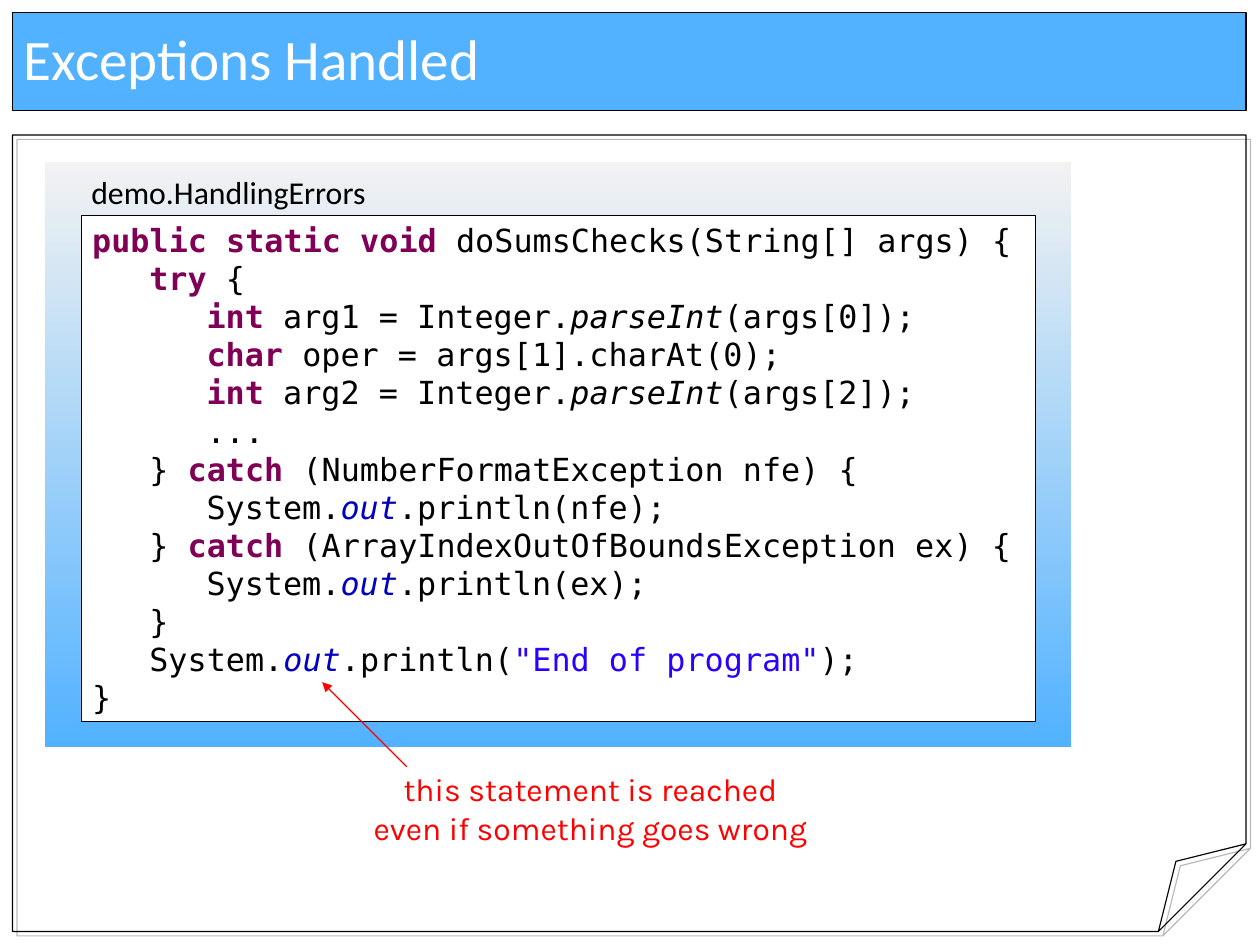
"""Build the "Exceptions Handled" slide with its annotated code listing."""
from dataclasses import dataclass
from typing import NamedTuple, Optional

from lxml import etree
from pptx import Presentation
from pptx.dml.color import RGBColor
from pptx.enum.shapes import MSO_CONNECTOR, MSO_SHAPE
from pptx.enum.text import MSO_ANCHOR, PP_ALIGN
from pptx.oxml.ns import qn
from pptx.util import Cm, Pt

RECT = MSO_SHAPE.RECTANGLE
ROUND_RECT = MSO_SHAPE.ROUNDED_RECTANGLE
FOLDED = MSO_SHAPE.FOLDED_CORNER
STRAIGHT = MSO_CONNECTOR.STRAIGHT
LEFT, CENTER = PP_ALIGN.LEFT, PP_ALIGN.CENTER
TOP, MIDDLE = MSO_ANCHOR.TOP, MSO_ANCHOR.MIDDLE


@dataclass(frozen=True)
class Theme:
    black: str = "000000"
    white: str = "FFFFFF"
    blue: str = "52B2FF"
    pale: str = "F2F2F2"
    shadow: str = "808080"
    red: str = "FF0000"
    keyword: str = "7F0055"
    field: str = "0000C0"
    string: str = "2A00FF"
    body_font: str = "Calibri"
    code_font: str = "DejaVu Sans Mono"
    note_font: str = "Karla"
    title_size: float = 36
    text_size: float = 20
    line: float = 0.75
    hairline: float = 0.28


T = Theme()


class Span(NamedTuple):
    text: str
    color: str = T.black
    bold: bool = False
    italic: bool = False


class Line(NamedTuple):
    level: int
    spans: list[Span]


@dataclass(frozen=True)
class Style:
    font: str
    size: float = T.text_size
    align: PP_ALIGN = LEFT
    anchor: MSO_ANCHOR = TOP
    wrap: bool = True
    spacing: Optional[float] = None


Box = tuple[float, float, float, float]
INDENT = 1.27
TITLE: Box = (0.28, 0.28, 27.41, 2.18)
PAGE: Box = (0.28, 3, 27.41, 17.7)
PANEL: Box = (0.99, 3.61, 22.81, 13)
CODE: Box = (1.8, 4.78, 21.21, 11.25)
NOTE: Box = (7.59, 16.99, 11.07, 1.96)
LABEL: Box = (1.78, 3.71, 6.63, 1.12)
ARROW: Box = (9.04, 17.04, 7.16, 15.16)


def keyword(text: str) -> Span:
    return Span(text, T.keyword, bold=True)


def parse_arg(kind: str, name: str, index: int) -> Line:
    return Line(2, [keyword(kind), Span(f" {name} = Integer."),
                    Span("parseInt", italic=True), Span(f"(args[{index}]);")])


def print_line(level: int, argument: Span) -> Line:
    return Line(level, [Span("System."), Span("out", T.field, italic=True),
                        Span(".println("), argument, Span(");")])


def catch(exception: str) -> Line:
    return Line(1, [Span("} "), keyword("catch"), Span(f" ({exception}) {{")])


LISTING = [
    Line(0, [keyword("public static void"), Span(" doSumsChecks(String[] args) {")]),
    Line(1, [keyword("try"), Span(" {")]),
    parse_arg("int", "arg1", 0),
    Line(2, [keyword("char"), Span(" oper = args[1].charAt(0);")]),
    parse_arg("int", "arg2", 2),
    Line(2, [Span("...")]),
    catch("NumberFormatException nfe"),
    print_line(2, Span("nfe")),
    catch("ArrayIndexOutOfBoundsException ex"),
    print_line(2, Span("ex")),
    Line(1, [Span("}")]),
    print_line(1, Span('"End of program"', T.string)),
    Line(0, [Span("}")]),
]


def rgb(color: str) -> RGBColor:
    return RGBColor.from_string(color)


def add_box(s, kind: MSO_SHAPE, box: Box, fill: Optional[str] = None, line: float = 0):
    sp = s.shapes.add_shape(kind, *map(Cm, box))
    sp.shadow.inherit = False
    sp.fill.background()
    sp.line.fill.background()
    if fill:
        sp.fill.solid()
        sp.fill.fore_color.rgb = rgb(fill)
    if line:
        sp.line.color.rgb = rgb(T.black)
        sp.line.width = Pt(line)
    return sp


def write(sp, lines: list[Line], style: Style) -> None:
    tf = sp.text_frame
    tf.word_wrap, tf.vertical_anchor = style.wrap, style.anchor
    for i, line in enumerate(lines):
        p = tf.add_paragraph() if i else tf.paragraphs[0]
        p.alignment, p.line_spacing = style.align, style.spacing
        if line.level:
            p._p.get_or_add_pPr().set("marL", str(Cm(line.level * INDENT)))
        for span in line.spans:
            r = p.add_run()
            r.text = span.text
            values = {"name": style.font, "size": Pt(style.size),
                      "bold": span.bold, "italic": span.italic}
            for name, value in values.items():
                setattr(r.font, name, value)
            r.font.color.rgb = rgb(span.color)


def add_page(s) -> None:
    sp_pr = add_box(s, FOLDED, PAGE, line=T.line)._element.spPr
    guides = sp_pr.find(qn("a:prstGeom")).find(qn("a:avLst"))
    etree.SubElement(guides, qn("a:gd"), name="adj", fmla="val 11000")
    shadow = etree.SubElement(sp_pr.find(qn("a:effectLst")), qn("a:outerShdw"),
                              blurRad="0", dist=str(Pt(4)), dir="2700000")
    color = etree.SubElement(shadow, qn("a:srgbClr"), val=T.shadow)
    etree.SubElement(color, qn("a:alpha"), val="55000")


def add_panel(s) -> None:
    sp = add_box(s, ROUND_RECT, PANEL)
    sp.adjustments[0] = 0
    sp.fill.gradient()
    sp.fill.gradient_angle = 270
    for stop, color in zip(sp.fill.gradient_stops, (T.pale, T.blue)):
        stop.color.rgb = rgb(color)


def add_arrow(s) -> None:
    cn = s.shapes.add_connector(STRAIGHT, *map(Cm, ARROW))
    cn.line.color.rgb = rgb(T.red)
    cn.line.width = Pt(T.line)
    sp_pr = cn._element.spPr
    etree.SubElement(sp_pr.find(qn("a:ln")), qn("a:tailEnd"), type="triangle")
    etree.SubElement(sp_pr, qn("a:effectLst"))


def main() -> None:
    prs = Presentation()
    prs.slide_width, prs.slide_height = Cm(28), Cm(21)
    s = prs.slides.add_slide(prs.slide_layouts[6])
    add_page(s)
    add_panel(s)
    write(add_box(s, RECT, CODE, T.white, T.hairline), LISTING, Style(T.code_font))
    note = [Line(0, [Span(text, T.red)]) for text in
            ("this statement is reached", "even if something goes wrong")]
    write(s.shapes.add_textbox(*map(Cm, NOTE)), note,
          Style(T.note_font, align=CENTER, wrap=False))
    write(add_box(s, RECT, TITLE, T.blue, T.line),
          [Line(0, [Span("Exceptions Handled", T.white)])],
          Style(T.body_font, T.title_size, anchor=MIDDLE, spacing=0.93))
    add_arrow(s)
    write(s.shapes.add_textbox(*map(Cm, LABEL)),
          [Line(0, [Span("demo.HandlingErrors")])], Style(T.body_font, wrap=False))
    prs.save("out.pptx")


if __name__ == "__main__":
    main()
